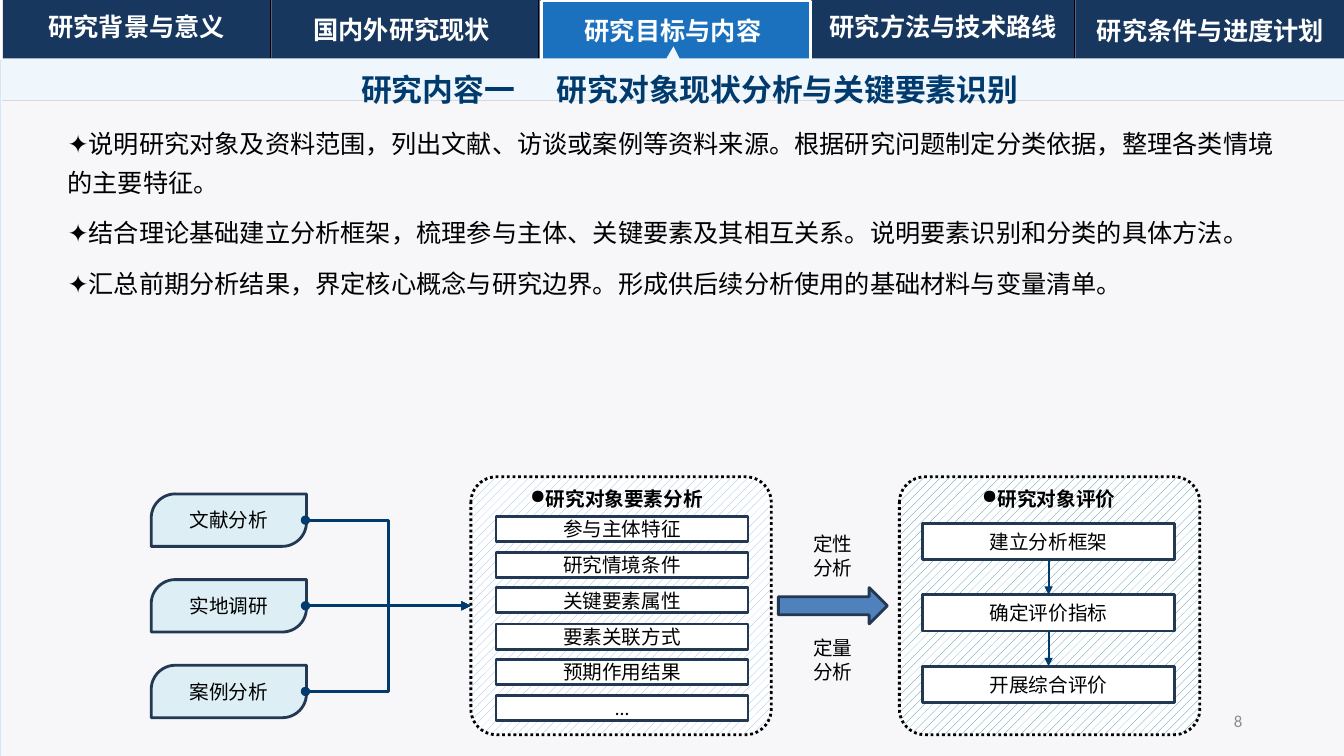
from lxml.etree import SubElement
from pptx import Presentation
from pptx.dml.color import RGBColor
from pptx.enum.dml import MSO_LINE, MSO_PATTERN
from pptx.enum.shapes import MSO_CONNECTOR, MSO_SHAPE, MSO_SHAPE_TYPE
from pptx.enum.text import MSO_ANCHOR, MSO_AUTO_SIZE, PP_ALIGN
from pptx.oxml.ns import qn
from pptx.util import Pt

PX = 9144
SANS = "Noto Sans CJK SC"
COLORS = {
    "white": "FFFFFF", "black": "000000", "navy": "17375E", "paper": "F7F7F9",
    "paper_edge": "D4E7F9", "groove": "596181", "active": "1C71BE", "band": "EFF6FC",
    "rule": "D9D9D9", "heading": "013B6D", "outline": "233953", "source": "DBEEF4",
    "arrow": "4F81BD", "factor_hatch": "8EB4E3", "review_hatch": "31859C", "number": "8C8C8C",
}
RGB = {name: RGBColor.from_string(value) for name, value in COLORS.items()}

deck = Presentation()
deck.slide_width, deck.slide_height = 1333 * PX, 750 * PX
page = deck.slides.add_slide(deck.slide_layouts[1])


def place(kind, bounds, fill=None, line=None, weight=2):
    left, top, width, height = [value * PX for value in bounds]
    if kind is None:
        return page.shapes.add_textbox(left, top, width, height)
    shape = page.shapes.add_shape(kind, left, top, width, height)
    if fill:
        shape.fill.solid()
        shape.fill.fore_color.rgb = RGB[fill]
    if line:
        shape.line.color.rgb = RGB[line]
        shape.line.width = Pt(weight)
    else:
        shape.line.fill.background()
    return shape


def format_text(shape, size, color="black", bold=False, align=PP_ALIGN.CENTER,
                anchor=MSO_ANCHOR.MIDDLE, font=SANS, spacing=1.0, after=0, bullet=None):
    frame = shape.text_frame
    frame.word_wrap = True
    frame.auto_size = MSO_AUTO_SIZE.NONE
    frame.vertical_anchor = anchor
    for para in frame.paragraphs:
        para.alignment = align
        para.line_spacing = spacing
        para.space_before = Pt(0)
        para.space_after = Pt(after)
        props = para._p.get_or_add_pPr()
        indent = 12 * PX if bullet else 0
        props.set("marL", str(indent))
        props.set("indent", str(-indent))
        if bullet:
            SubElement(props, qn("a:buChar")).set("char", bullet)
        else:
            SubElement(props, qn("a:buNone"))
        for span in para.runs:
            span.font.size = Pt(size)
            span.font.bold = bold
            span.font.color.rgb = RGB[color]
            span.font.name = font
            SubElement(span._r.get_or_add_rPr(), qn("a:ea")).set("typeface", SANS)


place(MSO_SHAPE.RECTANGLE, (3, 0, 1330, 60), "navy")
place(MSO_SHAPE.RECTANGLE, (0, 60, 1333, 690), "paper", "paper_edge", 0.5)

for tab in range(4):
    for offset, color, weight in ((0, "black", 0.5), (1, "groove", 0.75)):
        x = (268 + 266 * tab + offset) * PX
        divider = page.shapes.add_connector(MSO_CONNECTOR.STRAIGHT, x, 0, x, 58 * PX)
        divider.line.color.rgb = RGB[color]
        divider.line.width = Pt(weight)

place(MSO_SHAPE.RECTANGLE, (537, 1, 267, 60), "active", "white")
builder = page.shapes.build_freeform(668, 46, scale=PX)
builder.add_line_segments(
    [(674, 58), (1333, 58), (1333, 100), (2, 100), (2, 58), (661, 58)], close=True)
band = builder.convert_to_shape()
band.fill.solid()
band.fill.fore_color.rgb = RGB["band"]
band.line.fill.background()
rule = page.shapes.add_connector(MSO_CONNECTOR.STRAIGHT, 2 * PX, 100 * PX, 1333 * PX, 100 * PX)
rule.line.color.rgb = RGB["rule"]
rule.line.width = Pt(0.5)

for left, top, label in (
    (3, 6, "研究背景与意义"), (266, 9, "国内外研究现状"), (535, 10, "研究目标与内容"),
    (803, 6, "研究方法与技术路线"), (1068, 10, "研究条件与进度计划"),
):
    box = place(None, (left, top, 265, 41))
    box.text_frame.text = label
    format_text(box, 18, "white", True)

title, body = page.placeholders
for holder, bounds in ((title, (23, 47, 1322 - 12, 59)), (body, (57, 113, 1239, 343))):
    holder.left, holder.top, holder.width, holder.height = [value * PX for value in bounds]
    holder.element.getparent().append(holder.element)
title.left = 29 * PX
heading = title.text_frame.paragraphs[0]
heading.text = "研究内容一"
gap = heading.add_run()
gap.text = " "
gap._r.get_or_add_rPr().set("spc", "2500")
heading.add_run().text = "研究对象现状分析与关键要素识别"
format_text(title, 22, "heading", True, anchor=MSO_ANCHOR.TOP, spacing=1.5, after=8)
body.text_frame.text = "\n".join((
    "✦说明研究对象及资料范围，列出文献、访谈或案例等资料来源。根据研究问题制定分类依据，整理各类情境的主要特征。",
    "✦结合理论基础建立分析框架，梳理参与主体、关键要素及其相互关系。说明要素识别和分类的具体方法。",
    "✦汇总前期分析结果，界定核心概念与研究边界。形成供后续分析使用的基础材料与变量清单。",
))
format_text(body, 18, align=PP_ALIGN.LEFT, anchor=MSO_ANCHOR.TOP, spacing=1.3, after=8)

panels, rows = [], []
for left, hatch, caption, caption_left, caption_width, row_left, row_top, pitch, height, labels in (
    (467, "factor_hatch", "研究对象要素分析", 516, 201, 492, 512, 35.6, 25,
     ("参与主体特征", "研究情境条件", "关键要素属性", "要素关联方式", "预期作用结果", "…")),
    (892, "review_hatch", "研究对象评价", 964, 154, 915, 519, 71, 36,
     ("建立分析框架", "确定评价指标", "开展综合评价")),
):
    panel = place(MSO_SHAPE.ROUNDED_RECTANGLE, (left, 473, 298, 256), line="black")
    panel.adjustments[0] = 0.1
    panel.fill.patterned()
    panel.fill.pattern = MSO_PATTERN.PERCENT_20
    panel.fill.fore_color.rgb = RGB[hatch]
    panel.fill.back_color.rgb = RGB["white"]
    panel.line.dash_style = MSO_LINE.ROUND_DOT
    panels.append(panel)
    box = place(None, (caption_left, 466, caption_width, 41))
    box.text_frame.text = caption
    format_text(box, 14, bold=True, align=PP_ALIGN.LEFT, anchor=MSO_ANCHOR.TOP,
                spacing=1.5, bullet="●")
    rows = []
    for index, label in enumerate(labels):
        row = place(MSO_SHAPE.RECTANGLE, (row_left, row_top + round(pitch * index), 250, height),
                    "white", "outline")
        row.text_frame.text = label
        format_text(row, 14, font="Calibri")
        rows.append(row)

place(MSO_SHAPE.RIGHT_ARROW, (772, 583, 108, 36), "arrow", "outline")
for top, label in ((523, "定性\n分析"), (626, "定量\n分析")):
    box = place(None, (793, top, 66, 57))
    box.text_frame.text = label
    format_text(box, 14, anchor=MSO_ANCHOR.TOP)

flows = []
for index, label in enumerate(("文献分析", "实地调研", "案例分析")):
    top = 490 + 85 * index
    source = place(MSO_SHAPE.ROUND_2_DIAG_RECTANGLE, (150, top, 154, 52), "source", "outline")
    source.adjustments[0] = 0.46
    tint = source.element.spPr.find(qn("a:solidFill")).find(qn("a:srgbClr"))
    SubElement(tint, qn("a:alpha")).set("val", "90000")
    source.text_frame.text = label
    format_text(source, 14)
    kind = MSO_CONNECTOR.STRAIGHT if index == 1 else MSO_CONNECTOR.ELBOW
    flow = page.shapes.add_connector(kind, 303 * PX, (top + 26) * PX, 467 * PX, 601 * PX)
    if index == 1:
        flow.end_connect(panels[0], 1)
    flows.append((flow, 2.25, "oval"))

for upper, lower in zip(rows, rows[1:]):
    flow = page.shapes.add_connector(MSO_CONNECTOR.STRAIGHT, 0, 0, 0, 0)
    flow.begin_connect(upper, 2)
    flow.end_connect(lower, 0)
    flows.append((flow, 1.5, "none"))

for flow, weight, head in flows:
    flow.line.color.rgb = RGB["heading"]
    flow.line.width = Pt(weight)
    stroke = flow.element.spPr.find(qn("a:ln"))
    SubElement(stroke, qn("a:headEnd")).set("type", head)
    SubElement(stroke, qn("a:tailEnd")).set("type", "triangle")

number = place(None, (942, 695, 300, 40))
number.text_frame.text = "8"
format_text(number, 12, "number", align=PP_ALIGN.RIGHT, font="Calibri")

for shape in page.shapes:
    if shape.shape_type == MSO_SHAPE_TYPE.LINE:
        SubElement(shape.element.spPr, qn("a:effectLst"))
    else:
        shape.shadow.inherit = False

deck.save("out.pptx")
